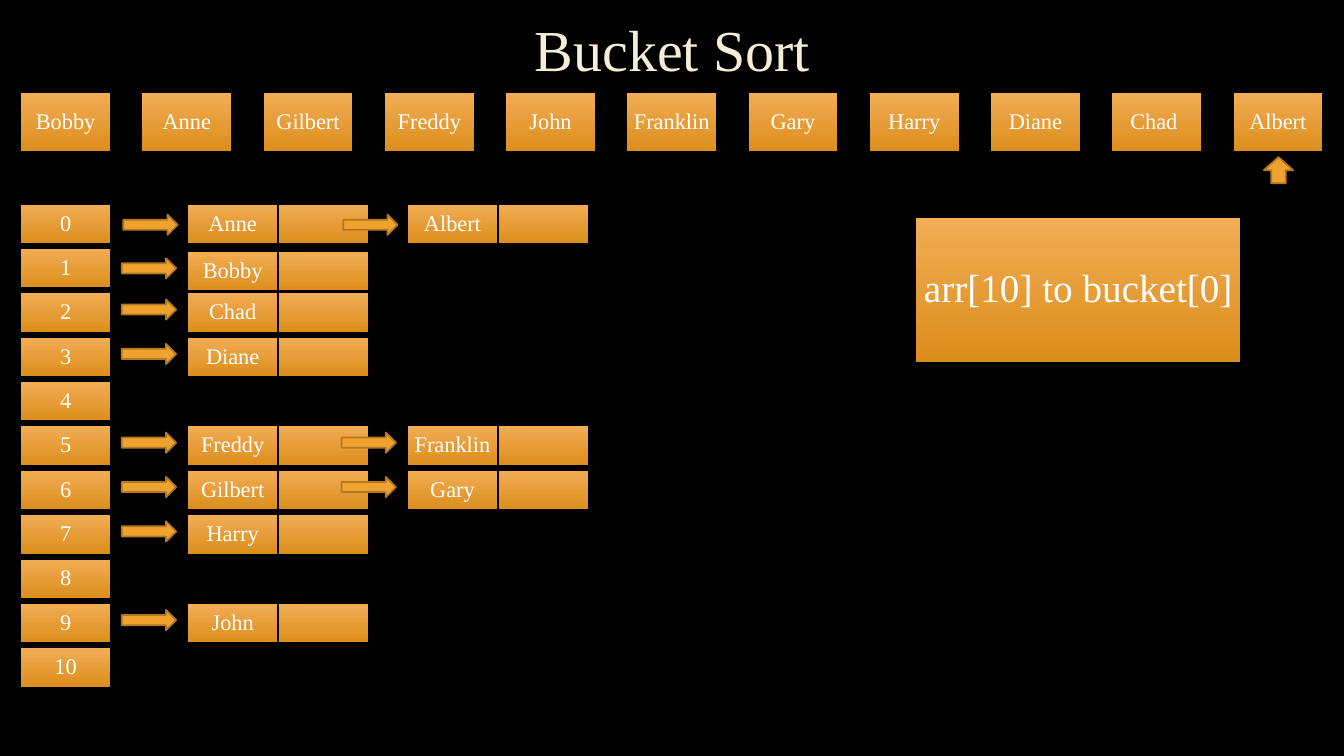
import pptx
import pptx.dml.color
import pptx.enum.shapes
import pptx.enum.text
import pptx.util
from dataclasses import dataclass

Cm = pptx.util.Cm
Pt = pptx.util.Pt
SHAPE = pptx.enum.shapes.MSO_SHAPE


@dataclass(frozen=True)
class Theme:
    font: str = "Times New Roman"
    background: str = "000000"
    title: str = "F4EDD8"
    text: str = "FFFFFF"
    cell_top: str = "F2AD56"
    cell_bottom: str = "DB8E1B"
    arrow: str = "F0A22E"
    arrow_line: str = "B27822"
    title_size: float = 41.4
    cell_size: float = 16
    message_size: float = 28


THEME = Theme()
NAMES = ["Bobby", "Anne", "Gilbert", "Freddy", "John", "Franklin",
         "Gary", "Harry", "Diane", "Chad ", "Albert"]
BUCKETS = [["Anne", "Albert"], ["Bobby"], ["Chad"], ["Diane"], [],
           ["Freddy", "Franklin"], ["Gilbert", "Gary"], ["Harry"], [], ["John"], []]

# Lengths in centimetres
CELL_WIDTH = 2.29
ROW_HEIGHT, ROW_STEP = 1.02, 1.118
NODE_OFFSET, NODE_STEP = 4.21, 5.54
ARROW_WIDTH, ARROW_HEIGHT, ARROW_LEAD = 1.37, 0.51, 1.65
# Small shifts of single rows
NODE_DROP = {1: 0.08}
ARROW_SHIFT = {0: (0.04, 0.1)}


def color(value):
    return pptx.dml.color.RGBColor.from_string(value)


def write_text(shape, text, size, text_color):
    frame = shape.text_frame
    frame.word_wrap = True
    frame.vertical_anchor = pptx.enum.text.MSO_ANCHOR.MIDDLE
    frame.margin_left = frame.margin_right = Cm(0.18)
    frame.margin_top = frame.margin_bottom = Cm(0.18)
    para = frame.paragraphs[0]
    para.alignment = pptx.enum.text.PP_ALIGN.CENTER
    para.line_spacing = 0.9
    span = para.add_run()
    span.text = text
    span.font.name = THEME.font
    span.font.size = Pt(size)
    span.font.color.rgb = color(text_color)


def add_cell(page, left, top, width, height, text="", size=THEME.cell_size):
    cell = page.shapes.add_shape(SHAPE.RECTANGLE, Cm(left), Cm(top), Cm(width), Cm(height))
    cell.shadow.inherit = False
    cell.fill.gradient()
    cell.fill.gradient_angle = 270
    for stop, value in zip(cell.fill.gradient_stops, (THEME.cell_top, THEME.cell_bottom)):
        stop.color.rgb = color(value)
    # A background-coloured edge keeps touching cells apart
    cell.line.color.rgb = color(THEME.background)
    cell.line.width = Pt(1.5)
    if text:
        write_text(cell, text, size, THEME.text)


def add_arrow(page, kind, left, top, width, height):
    arrow = page.shapes.add_shape(kind, Cm(left), Cm(top), Cm(width), Cm(height))
    arrow.shadow.inherit = False
    arrow.fill.solid()
    arrow.fill.fore_color.rgb = color(THEME.arrow)
    arrow.line.color.rgb = color(THEME.arrow_line)
    arrow.line.width = Pt(1.25)


def add_title(page, left, top, width, height):
    box = page.shapes.add_textbox(Cm(left), Cm(top), Cm(width), Cm(height))
    write_text(box, "Bucket Sort", THEME.title_size, THEME.title)


def add_array(page, left, top, width, height, current):
    step = (width - CELL_WIDTH) / (len(NAMES) - 1)
    for index, name in enumerate(NAMES):
        add_cell(page, left + index * step, top, CELL_WIDTH, height, name)
    # Pointer under the element being placed
    add_arrow(page, SHAPE.UP_ARROW, left + current * step + 0.79,
              top + height + 0.13, 0.74, 0.66)


def add_buckets(page, left, top):
    for row, names in enumerate(BUCKETS):
        row_top = top + row * ROW_STEP
        add_cell(page, left, row_top, CELL_WIDTH, ROW_HEIGHT, str(row))
        node_top = row_top + NODE_DROP.get(row, 0)
        shift_x, shift_y = ARROW_SHIFT.get(row, (0, 0))
        # Linked nodes: an arrow, a name cell and a link cell
        for position, name in enumerate(names):
            node_left = left + NODE_OFFSET + position * NODE_STEP
            add_cell(page, node_left, node_top, CELL_WIDTH, ROW_HEIGHT, name)
            add_cell(page, node_left + CELL_WIDTH, node_top, CELL_WIDTH, ROW_HEIGHT)
            add_arrow(page, SHAPE.RIGHT_ARROW, node_left - ARROW_LEAD + shift_x,
                      node_top + 0.18 + shift_y, ARROW_WIDTH, ARROW_HEIGHT)


def main():
    deck = pptx.Presentation()
    deck.slide_width, deck.slide_height = Cm(33.87), Cm(19.05)
    page = deck.slides.add_slide(deck.slide_layouts[6])
    page.background.fill.solid()
    page.background.fill.fore_color.rgb = color(THEME.background)

    add_title(page, 2.57, 0.43, 28.75, 1.8)
    add_array(page, 0.51, 2.31, 32.84, 1.52, current=10)
    add_buckets(page, 0.51, 5.13)
    # Current step
    add_cell(page, 23.06, 5.46, 8.23, 3.68, "arr[10] to bucket[0]", THEME.message_size)

    deck.save("out.pptx")


if __name__ == "__main__":
    main()
